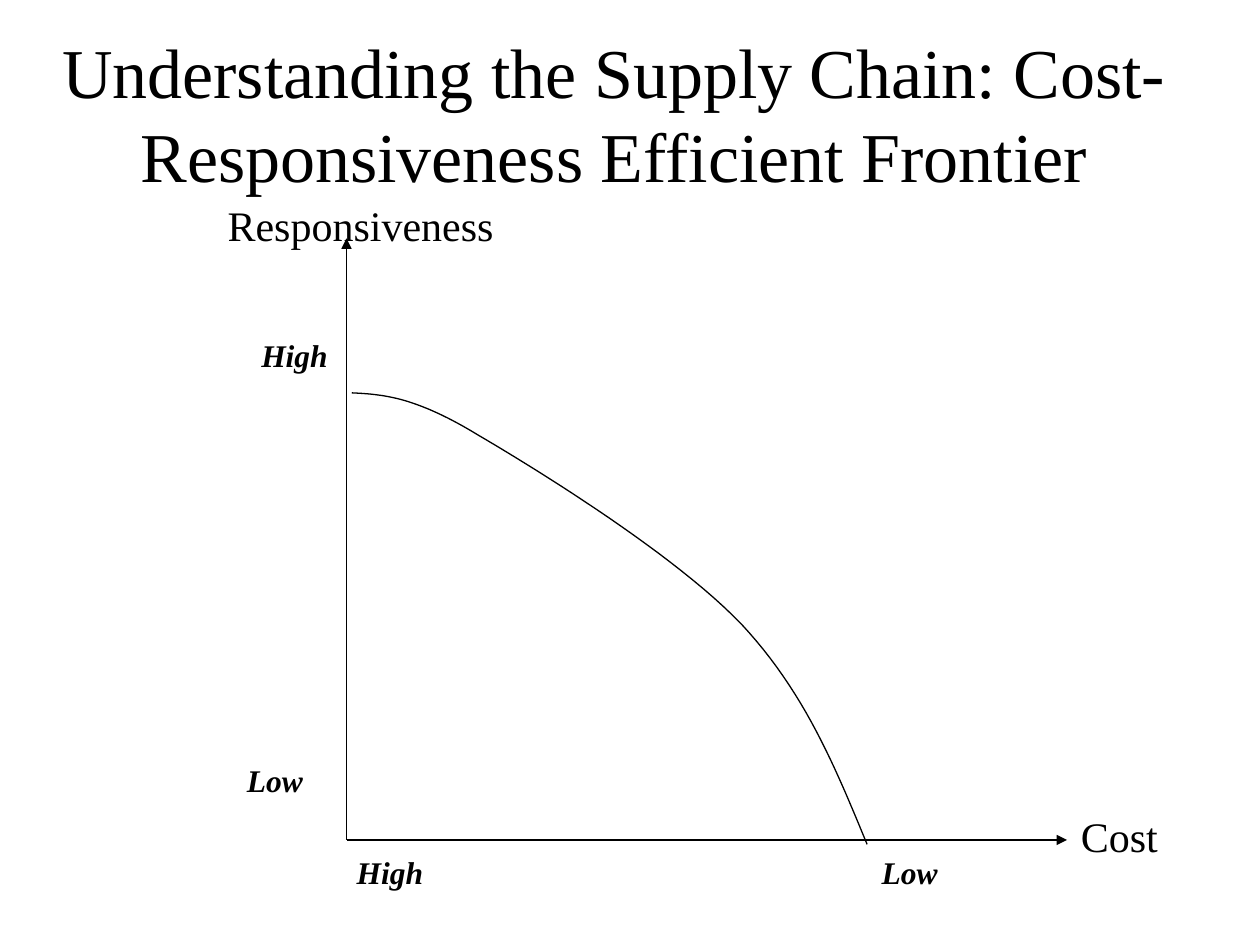
import lxml.etree
import pptx
import pptx.dml.color
import pptx.enum.shapes
import pptx.enum.text
import pptx.oxml.ns
import pptx.util

Pt = pptx.util.Pt
FONT = "Times New Roman"
BLACK = "000000"
# Bezier control points of the frontier, measured from the axis origin
FRONTIER = [
    (3, -255.5), (20, -254.5), (38, -254), (75, -231.5), (112.5, -209.5),
    (188, -162.5), (225.5, -123.5), (262, -84.5), (279.5, -41), (297.5, 2.5),
]


def color(code):
    return pptx.dml.color.RGBColor.from_string(code)


def write_text(frame, text, size=18, bold=False, italic=False, align="LEFT"):
    para = frame.paragraphs[0]
    para.alignment = getattr(pptx.enum.text.PP_ALIGN, align)
    span = para.add_run()
    span.text = text
    font = span.font
    font.name, font.size, font.bold, font.italic = FONT, Pt(size), bold, italic
    font.color.rgb = color(BLACK)


def format_line(line):
    line.color.rgb = color(BLACK)
    line.width = Pt(0.75)


def add_title(page, left, top, width, height, text):
    title = page.shapes.title
    title.left, title.top = Pt(left), Pt(top)
    title.width, title.height = Pt(width), Pt(height)
    frame = title.text_frame
    frame.auto_size = pptx.enum.text.MSO_AUTO_SIZE.NONE
    frame.vertical_anchor = pptx.enum.text.MSO_ANCHOR.MIDDLE
    write_text(frame, text, size=40, align="CENTER")


def add_label(page, left, top, width, height, text, **style):
    box = page.shapes.add_textbox(Pt(left), Pt(top), Pt(width), Pt(height))
    box.text_frame.word_wrap = False
    box.text_frame.auto_size = pptx.enum.text.MSO_AUTO_SIZE.SHAPE_TO_FIT_TEXT
    write_text(box.text_frame, text, **style)


def add_axis(page, start, end):
    axis = page.shapes.add_connector(
        pptx.enum.shapes.MSO_CONNECTOR.STRAIGHT,
        *(Pt(value) for value in (*start, *end)))
    format_line(axis.line)
    qn = pptx.oxml.ns.qn
    properties = axis.element.spPr
    lxml.etree.SubElement(properties.find(qn("a:ln")), qn("a:tailEnd"), type="triangle")
    lxml.etree.SubElement(properties, qn("a:effectLst"))


def bezier_points(controls, steps=24):
    """Return points along a chain of cubic Bezier segments."""
    points = [controls[0]]
    for first in range(0, len(controls) - 1, 3):
        segment = controls[first:first + 4]
        for step in range(1, steps + 1):
            t = step / steps
            weights = ((1 - t) ** 3, 3 * t * (1 - t) ** 2, 3 * t ** 2 * (1 - t), t ** 3)
            points.append(tuple(
                sum(weight * value for weight, value in zip(weights, values))
                for values in zip(*segment)))
    return points


def add_frontier(page, left, bottom):
    points = [(Pt(left + x), Pt(bottom + y)) for x, y in bezier_points(FRONTIER)]
    builder = page.shapes.build_freeform(*points[0])
    builder.add_line_segments(points[1:], close=False)
    curve = builder.convert_to_shape()
    curve.shadow.inherit = False
    curve.fill.background()
    format_line(curve.line)


def add_diagram(page, left, top, width, height):
    bottom = top + height
    origin = (left, bottom)
    add_axis(page, origin, (left, top))
    add_axis(page, origin, (left + width, bottom))
    levels = [
        (-1.25, 4, 53, "High"), (298.75, 4, 47, "Low"),
        (-64, -48.5, 47, "Low"), (-55.75, -291.5, 53, "High"),
    ]
    for x, y, label_width, text in levels:
        add_label(page, left + x, bottom + y, label_width, 29, text,
                  bold=True, italic=True)
    add_label(page, left - 75, top - 25.5, 167, 36, "Responsiveness", size=24)
    add_frontier(page, left, bottom)
    add_label(page, left + width + 0.75, bottom - 20.5, 59, 36, "Cost", size=24)


def main():
    deck = pptx.Presentation()
    deck.slide_width, deck.slide_height = Pt(720), Pt(540)
    page = deck.slides.add_slide(deck.slide_layouts.get_by_name("Title Only"))
    add_title(page, 5.75, 21, 690, 87,
              "Understanding the Supply Chain: Cost-Responsiveness Efficient Frontier")
    add_diagram(page, 198, 136.25, 411.75, 343.75)
    deck.save("out.pptx")


if __name__ == "__main__":
    main()
